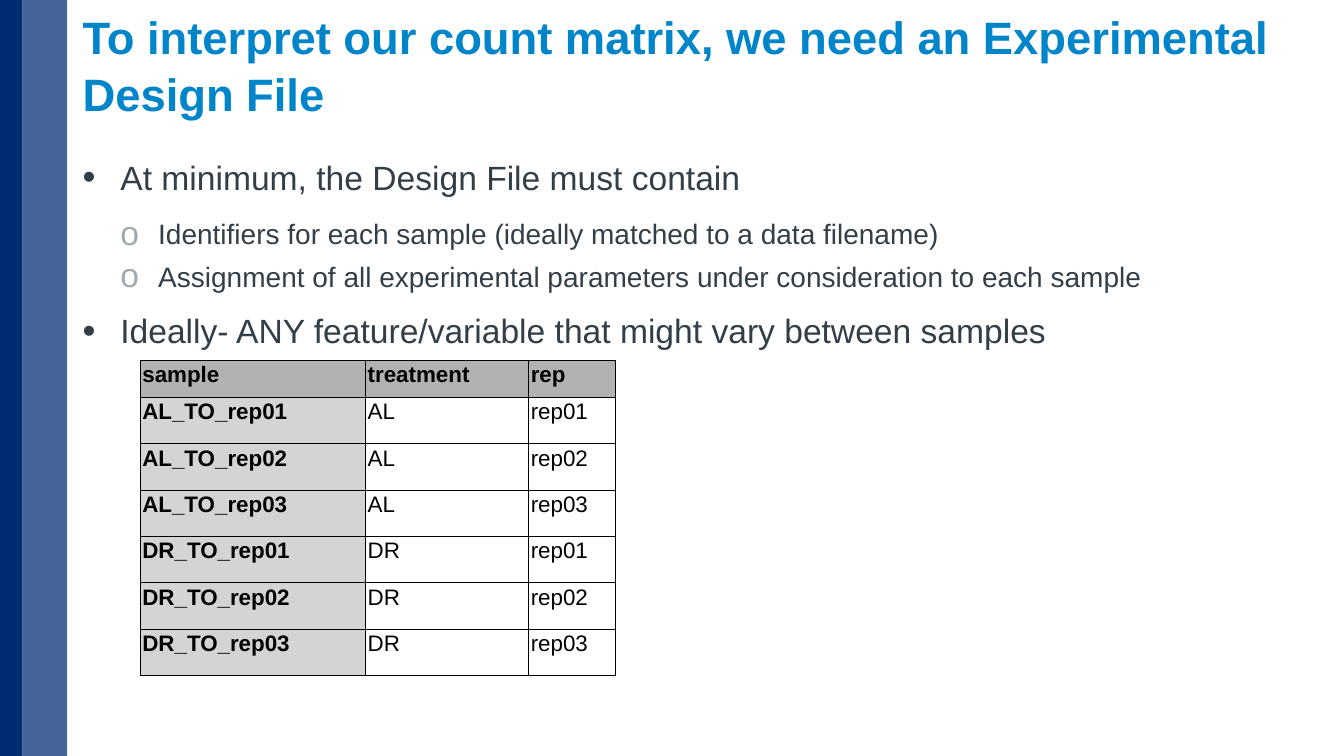
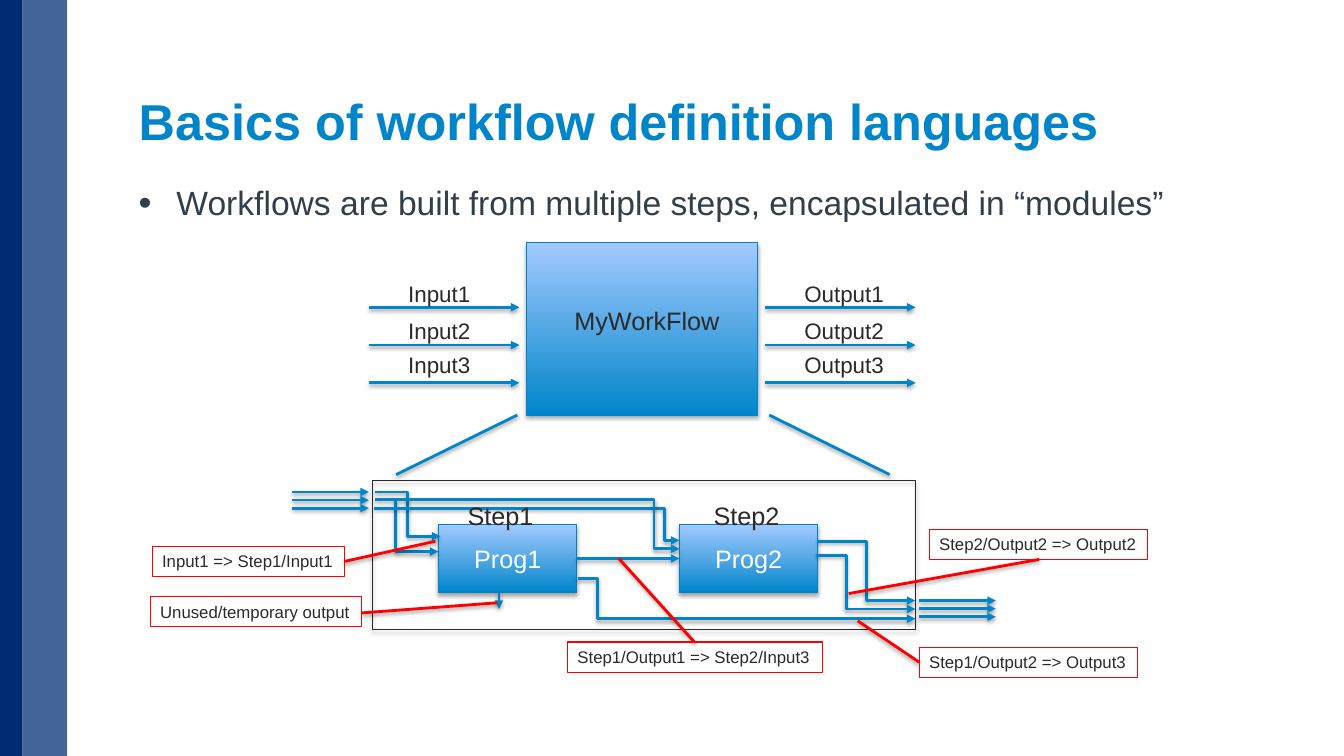
"""Build two slides on experimental design files and workflow definition languages."""
import dataclasses
import typing

import lxml.etree
import pptx
import pptx.dml.color
import pptx.dml.fill
import pptx.enum.shapes
import pptx.enum.text
import pptx.oxml.ns
import pptx.presentation
import pptx.shapes.autoshape
import pptx.slide
import pptx.table
import pptx.text.text
import pptx.util

Pt = pptx.util.Pt
Color = pptx.dml.color.RGBColor


@dataclasses.dataclass(frozen=True)
class Theme:
    font: str = "Arial"
    navy: Color = Color(0x00, 0x2D, 0x72)
    blue: Color = Color(0x00, 0x85, 0xCA)
    light_blue: Color = Color(0xA4, 0xCA, 0xFF)
    outline: Color = Color(0x00, 0x82, 0xC6)
    slate: Color = Color(0x33, 0x3F, 0x48)
    gray: Color = Color(0xA2, 0xAA, 0xAD)
    ink: Color = Color(0x2C, 0x2A, 0x29)
    black: Color = Color(0, 0, 0)
    white: Color = Color(255, 255, 255)
    red: Color = Color(255, 0, 0)
    header_fill: Color = Color(0xB0, 0xB3, 0xB2)
    sample_fill: Color = Color(0xD4, 0xD4, 0xD4)
    body_size: float = 24
    sub_size: float = 20
    step_size: float = 18
    label_size: float = 16
    callout_size: float = 12
    hairline: float = 0.75
    arrow_line: float = 2


class Area(typing.NamedTuple):
    left: float
    top: float
    width: float
    height: float


class Link(typing.NamedTuple):
    from_x: float
    from_y: float
    to_x: float
    to_y: float
    bend: float | None = None


class Bullet(typing.NamedTuple):
    text: str
    level: int = 0


class BulletStyle(typing.NamedTuple):
    symbol: str
    percent: int
    color: Color
    size: float
    margin: float
    hanging: float
    line_spacing: float
    before: float
    after: float


class Callout(typing.NamedTuple):
    text: str
    area: Area
    pointer: Link


THEME = Theme()
BULLET_STYLES = (
    BulletStyle("•", 110, THEME.slate, THEME.body_size, 27, 27, 1.02, 6, 14),
    BulletStyle("o", 120, THEME.gray, THEME.sub_size, 54, 27, 1.0, 0, 6),
)
BANDS = ((Area(0, 0, 16, 540), 100), (Area(16, 0, 32, 540), 73))
DESIGN_ROWS = [("sample", "treatment", "rep")] + [
    (f"{treatment}_TO_rep0{number}", treatment, f"rep0{number}")
    for treatment in ("AL", "DR") for number in (1, 2, 3)
]
ELBOWS = (
    Link(267.8, 351.4, 314.6, 383, 0.5),
    Link(267.8, 357, 313.2, 394, 0.33),
    Link(267.1, 363, 485.3, 386, 0.95),
    Link(283, 357, 485.3, 392, 0.91),
    Link(412.6, 413.3, 653.8, 442, 0.06),
    Link(583.9, 386.6, 653.8, 429, 0.5),
    Link(583.2, 396.7, 653.8, 435, 0.3),
)
CALLOUTS = (
    Callout("Input1 => Step1/Input1", Area(108.7, 390.2, 137.5, 21.6),
            Link(311, 386.6, 246.2, 401)),
    Callout("Unused/temporary output", Area(107.3, 426.2, 151.2, 21.6),
            Link(355, 430.6, 258.5, 437.8)),
    Callout("Step1/Output1 => Step2/Input3", Area(405.4, 458.6, 182.2, 21.6),
            Link(442, 398.9, 496, 458.6)),
    Callout("Step2/Output2 => Output2", Area(663.8, 378, 156.2, 21.6),
            Link(742.3, 399.6, 606.2, 424)),
    Callout("Step1/Output2 => Output3", Area(656.6, 462.2, 156.2, 21.6),
            Link(656.6, 473, 612.7, 443.5)),
)


def add_element(parent: typing.Any, tag: str, **attributes: object) -> typing.Any:
    values = {name: str(value) for name, value in attributes.items()}
    return lxml.etree.SubElement(parent, pptx.oxml.ns.qn(f"a:{tag}"), values)


def lengths(area: Area) -> list[int]:
    return [Pt(value) for value in area]


def style_runs(para: pptx.text.text._Paragraph, size: float, color: Color, bold: bool = False) -> None:
    for span in para.runs:
        span.font.name = THEME.font
        span.font.size = Pt(size)
        span.font.bold = bold
        span.font.color.rgb = color


def add_shadow(effects: typing.Any, alpha: int, distance: float) -> None:
    shadow = add_element(effects, "outerShdw", blurRad=Pt(3.1), dist=Pt(distance), dir=5400000, rotWithShape=0)
    add_element(add_element(shadow, "srgbClr", val="000000"), "alpha", val=alpha * 1000)


def add_block(page: pptx.slide.Slide, area: Area) -> pptx.shapes.autoshape.Shape:
    block = page.shapes.add_shape(pptx.enum.shapes.MSO_SHAPE.RECTANGLE, *lengths(area))
    block.shadow.inherit = False
    return block


def add_panel(page: pptx.slide.Slide, area: Area, color: Color, text: str = "", filled: bool = True) -> None:
    panel = add_block(page, area)
    panel.line.color.rgb = color
    panel.line.width = Pt(THEME.hairline)
    if filled:
        panel.fill.gradient()
        panel.fill.gradient_angle = 90
        for stop, shade in zip(panel.fill.gradient_stops, (THEME.blue, THEME.light_blue)):
            stop.color.rgb = shade
        for stop, position in zip(panel.fill.gradient_stops, (0, 1)):
            stop.position = position
    else:
        panel.fill.background()
    add_shadow(panel.element.spPr.find(pptx.oxml.ns.qn("a:effectLst")), 35, 1.8)
    if text:
        panel.text_frame.text = text
        para = panel.text_frame.paragraphs[0]
        para.alignment = pptx.enum.text.PP_ALIGN.CENTER
        style_runs(para, THEME.step_size, THEME.white)


def add_label(page: pptx.slide.Slide, text: str, area: Area, size: float, wrap: bool = True,
              border: Color | None = None) -> None:
    box = page.shapes.add_textbox(*lengths(area))
    box.text_frame.text = text
    box.text_frame.word_wrap = wrap
    box.text_frame.auto_size = pptx.enum.text.MSO_AUTO_SIZE.SHAPE_TO_FIT_TEXT
    style_runs(box.text_frame.paragraphs[0], size, THEME.ink)
    if border is not None:
        box.line.color.rgb = border
        box.line.width = Pt(THEME.hairline)


def add_link(page: pptx.slide.Slide, link: Link, color: Color = THEME.blue, arrow: bool = True) -> None:
    kinds = pptx.enum.shapes.MSO_CONNECTOR
    kind = kinds.STRAIGHT if link.bend is None else kinds.ELBOW
    connector = page.shapes.add_connector(kind, *[Pt(value) for value in link[:4]])
    connector.line.color.rgb = color
    connector.line.width = Pt(THEME.arrow_line)
    properties = connector.element.spPr
    if link.bend is not None:
        guides = properties.find(".//" + pptx.oxml.ns.qn("a:avLst"))
        add_element(guides, "gd", name="adj1", fmla=f"val {round(link.bend * 100000)}")
    if arrow:
        add_element(properties.find(pptx.oxml.ns.qn("a:ln")), "tailEnd", type="triangle")
    add_shadow(add_element(properties, "effectLst"), 38, 1.6)


def add_bands(deck: pptx.presentation.Presentation, page: pptx.slide.Slide) -> None:
    for position, (area, opacity) in enumerate(BANDS, start=2):
        band = add_block(page, area)
        band.fill.solid()
        band.fill.fore_color.rgb = THEME.navy
        band.line.fill.background()
        shade = band.element.spPr.find(".//" + pptx.oxml.ns.qn("a:srgbClr"))
        add_element(shade, "alpha", val=opacity * 1000)
        deck.slide_master.shapes.element.insert(position, band.element)


def fill_placeholder(box: typing.Any, area: Area, text: str,
                     anchor: pptx.enum.text.MSO_ANCHOR) -> pptx.text.text.TextFrame:
    box.left, box.top, box.width, box.height = lengths(area)
    frame = box.text_frame
    frame.text = text
    frame.word_wrap = True
    frame.auto_size = pptx.enum.text.MSO_AUTO_SIZE.NONE
    frame.vertical_anchor = anchor
    frame.margin_left = 0
    return frame


def add_page(deck: pptx.presentation.Presentation, title: str, title_size: float, title_area: Area,
             bullets: tuple[Bullet, ...], body_area: Area) -> pptx.slide.Slide:
    page = deck.slides.add_slide(deck.slide_layouts[1])
    anchors = pptx.enum.text.MSO_ANCHOR
    heading = fill_placeholder(page.shapes.title, title_area, title, anchors.BOTTOM).paragraphs[0]
    heading.alignment = pptx.enum.text.PP_ALIGN.LEFT
    heading.line_spacing = 1.05
    style_runs(heading, title_size, THEME.blue, bold=True)
    text = "\n".join(bullet.text for bullet in bullets)
    frame = fill_placeholder(page.placeholders[1], body_area, text, anchors.TOP)
    for index, (para, bullet) in enumerate(zip(frame.paragraphs, bullets)):
        style = BULLET_STYLES[bullet.level]
        para.level = bullet.level
        para.line_spacing = style.line_spacing
        para.space_before = Pt(style.before if index else 0)
        para.space_after = Pt(style.after)
        properties = para._p.get_or_add_pPr()
        properties.set("marL", str(Pt(style.margin)))
        properties.set("indent", str(-Pt(style.hanging)))
        add_element(add_element(properties, "buClr"), "srgbClr", val=style.color)
        add_element(properties, "buSzPct", val=style.percent * 1000)
        add_element(properties, "buFont", typeface=THEME.font)
        add_element(properties, "buChar", char=style.symbol)
        style_runs(para, style.size, THEME.slate)
    return page


def style_cell(cell: pptx.table._Cell, text: str, fill: Color | None) -> None:
    properties = cell._tc.get_or_add_tcPr()
    for side in ("lnL", "lnR", "lnT", "lnB"):
        border = add_element(properties, side, w=Pt(THEME.hairline))
        add_element(add_element(border, "solidFill"), "srgbClr", val=THEME.black)
    if fill is None:
        cell.fill.background()
    else:
        cell.fill.solid()
        cell.fill.fore_color.rgb = fill
    cell.margin_left = cell.margin_right = cell.margin_top = cell.margin_bottom = Pt(1.5)
    cell.text_frame.text = text
    style_runs(cell.text_frame.paragraphs[0], THEME.label_size, THEME.black, bold=fill is not None)


def add_design_table(page: pptx.slide.Slide) -> None:
    area = Area(100.2, 257.5, 339.5, 225)
    table = page.shapes.add_table(len(DESIGN_ROWS), 3, *lengths(area)).table
    table.first_row = table.horz_banding = False
    for column, width in zip(table.columns, (161, 116.5, 62)):
        column.width = Pt(width)
    for row_index, texts in enumerate(DESIGN_ROWS):
        table.rows[row_index].height = Pt(33.1 if row_index else 26.5)
        for column_index, text in enumerate(texts):
            fill = THEME.sample_fill if column_index == 0 else None
            style_cell(table.cell(row_index, column_index), text, fill if row_index else THEME.header_fill)


def add_workflow_overview(page: pptx.slide.Slide) -> None:
    add_panel(page, Area(376, 173.5, 165, 123), THEME.outline)
    add_label(page, "MyWorkFlow", Area(403.2, 214.6, 131, 29), THEME.step_size)
    for name, left, width in (("Input", 263.5, 64), ("Output", 546.5, 75)):
        for index, label_top in enumerate((196.5, 223.3, 247.5)):
            line_y = 219.5 + 27 * index
            add_link(page, Link(left, line_y, left + 107.5, line_y))
            add_label(page, f"{name}{index + 1}", Area(left + 21, label_top, width, 26.6), THEME.label_size)


def add_workflow_detail(page: pptx.slide.Slide) -> None:
    for zoom in (Link(369.5, 296.5, 283, 339), Link(549.5, 296.5, 635.5, 339)):
        add_link(page, zoom, arrow=False)
    add_panel(page, Area(266.2, 343.4, 387.6, 106), THEME.ink, filled=False)
    for left, top in ((208.8, 351.4), (656.6, 429)):
        for index in range(3):
            line_y = top + 5.8 * index
            add_link(page, Link(left, line_y, left + 54.7, line_y))
    steps = ((1, 313.2, 326.9), (2, 485.3, 502.6))
    for number, left, _ in steps:
        add_panel(page, Area(left, 374.6, 98.9, 48.8), THEME.outline, f"Prog{number}")
    for link in ELBOWS + (Link(411.8, 398.9, 485.3, 398.9), Link(356.4, 423.4, 356.4, 434.9)):
        add_link(page, link)
    for number, _, left in steps:
        add_label(page, f"Step{number}", Area(left, 353.5, 62, 29), THEME.step_size, wrap=False)
    for callout in CALLOUTS:
        add_link(page, callout.pointer, THEME.red, arrow=False)
        add_label(page, callout.text, callout.area, THEME.callout_size, wrap=False, border=THEME.red)


def main() -> None:
    deck = pptx.Presentation()
    deck.slide_width, deck.slide_height = Pt(960), Pt(540)
    design_page = add_page(
        deck, "To interpret our count matrix, we need an Experimental Design File", 32.4,
        Area(59, 15, 868, 75),
        (Bullet("At minimum, the Design File must contain"),
         Bullet("Identifiers for each sample (ideally matched to a data filename)", 1),
         Bullet("Assignment of all experimental parameters under consideration to each sample", 1),
         Bullet("Ideally- ANY feature/variable that might vary between samples")),
        Area(59, 108, 868, 308))
    add_bands(deck, design_page)
    add_design_table(design_page)
    workflow_page = add_page(
        deck, "Basics of workflow definition languages", 36, Area(99, 21.5, 828, 90),
        (Bullet("Workflows are built from multiple steps, encapsulated in “modules”"),),
        Area(99, 126, 828, 330))
    add_workflow_overview(workflow_page)
    add_workflow_detail(workflow_page)
    deck.save("out.pptx")


if __name__ == "__main__":
    main()
